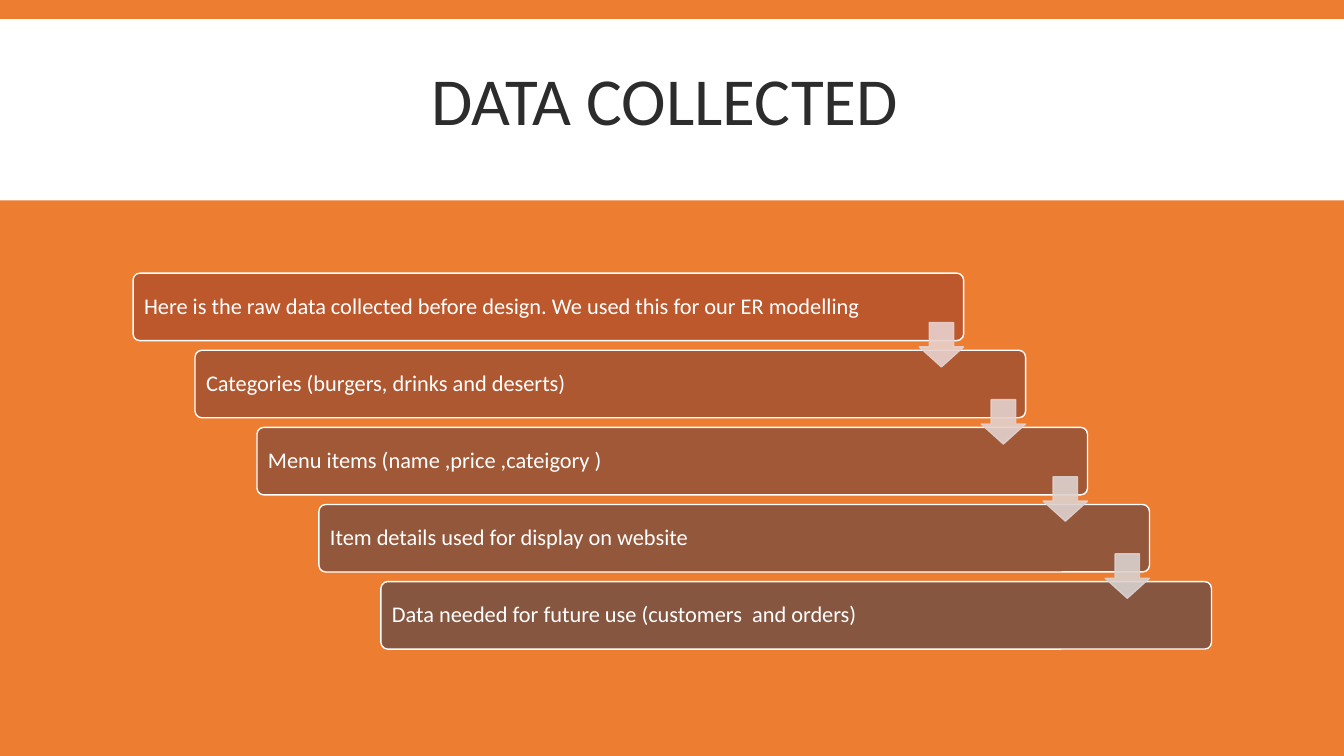
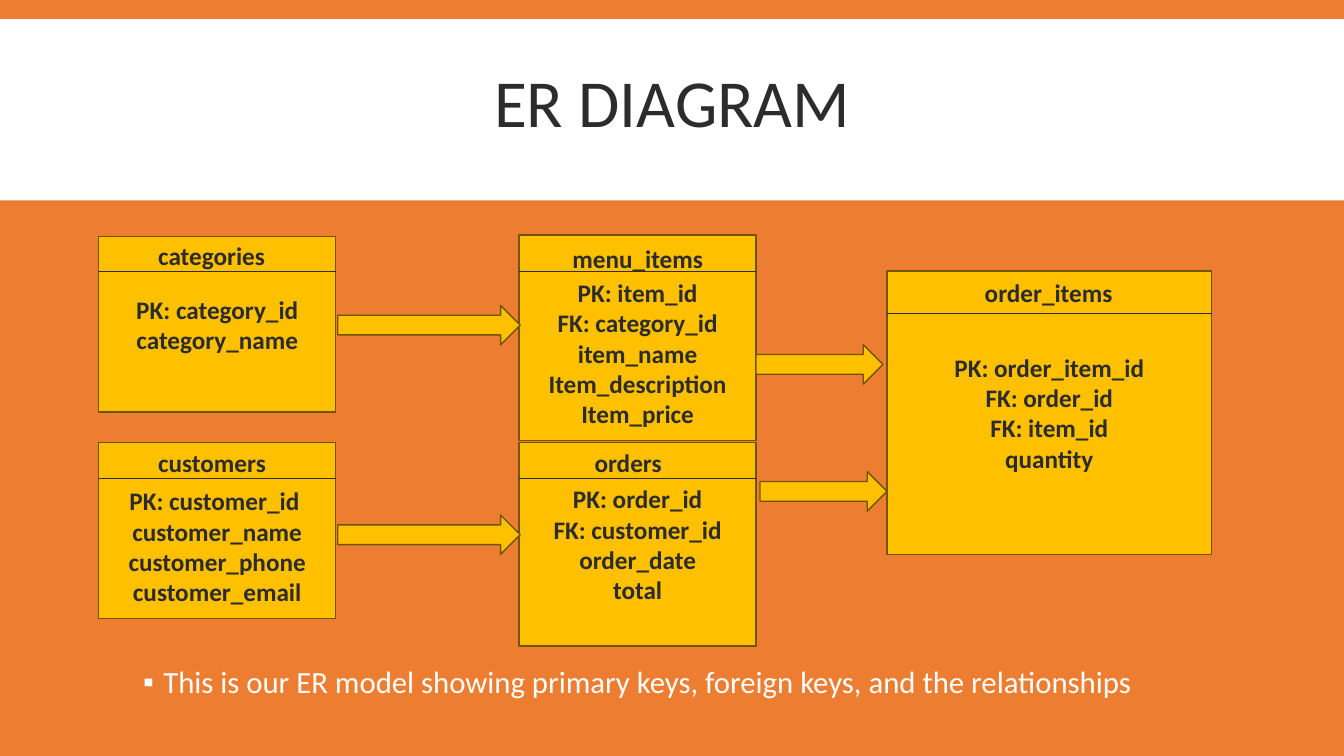
from dataclasses import dataclass

from lxml.etree import SubElement
from pptx import Presentation
from pptx.dml.color import RGBColor
from pptx.enum.shapes import MSO_CONNECTOR, MSO_SHAPE
from pptx.enum.text import MSO_ANCHOR, MSO_AUTO_SIZE, PP_ALIGN
from pptx.oxml.ns import qn
from pptx.util import Emu, Inches, Pt

# Shared look
WIDTH, HEIGHT = Inches(13.333), Inches(7.5)
ORANGE, WHITE, INK = "ED7D31", "FFFFFF", "2C2C2C"
GOLD, BROWN = "FFC000", "705400"
TITLE_FONT = {"name": "Calibri", "size": Pt(48), "bold": False}
BODY_FONT = {"name": "Calibri", "size": Pt(22), "bold": False}
STEP_FONT = {"name": "Calibri", "size": Pt(16), "bold": False}
ENTITY_FONT = {"name": "Calibri", "size": Pt(18), "bold": True}
LINE_PITCH = Pt(22)


@dataclass(frozen=True)
class Area:
    """A rectangle in percent of the slide's width and height."""
    left: float
    top: float
    width: float
    height: float

    def lengths(self) -> tuple:
        return (across(self.left), down(self.top),
                across(self.width), down(self.height))


@dataclass(frozen=True)
class Step:
    text: str
    fill: str
    arrow: str = ""


@dataclass(frozen=True)
class Entity:
    name: str
    name_left: float
    name_top: float
    area: Area
    rule_top: float
    fields: tuple
    skipped_lines: int = 0


STEPS = (
    Step("Here is the raw data collected before design. We used this for our ER modelling",
         "BD582C", "E8D1CD"),
    Step("Categories (burgers, drinks and deserts)", "AE5832", "E3D1CD"),
    Step("Menu items (name ,price ,cateigory )", "A05837", "DED1CE"),
    Step("Item details used for display on website", "93573C", "D9D1CF"),
    Step("Data needed for future use (customers  and orders)", "865640"),
)
STEP_ACROSS, STEP_DOWN = 4.61, 10.2

ENTITIES = (
    Entity("categories", 11.03, 31.07, Area(7.35, 31.33, 17.63, 23.2), 35.87,
           ("PK: category_id", "category_name")),
    Entity("menu_items", 41.85, 31.47, Area(38.63, 31.07, 17.63, 27.2), 35.87,
           ("PK: item_id", "FK: category_id", "item_name",
            "Item_description", "Item_price"), 1),
    Entity("customers", 11.03, 58.53, Area(7.35, 58.53, 17.63, 23.33), 63.33,
           ("PK: customer_id ", "customer_name", "customer_phone",
            "customer_email"), 1),
    Entity("orders", 43.5, 58.53, Area(38.63, 58.53, 17.63, 26.93), 63.33,
           ("PK: order_id", "FK: customer_id", "order_date", "total")),
    Entity("order_items", 72.53, 36, Area(66, 35.87, 24.15, 37.47), 41.47,
           ("PK: order_item_id", "FK: order_id", "FK: item_id", "quantity")),
)
RELATIONS = (
    Area(56.55, 62.4, 9.45, 5.2),
    Area(56.25, 45.6, 9.45, 5.2),
    Area(25.13, 68.13, 13.58, 5.2),
    Area(25.13, 40.4, 13.58, 5.2),
)


# Helpers
def across(percent: float) -> Emu:
    return Emu(round(WIDTH * percent / 100))


def down(percent: float) -> Emu:
    return Emu(round(HEIGHT * percent / 100))


def colour(value: str) -> RGBColor:
    return RGBColor.from_string(value)


def apply(target, values: dict) -> None:
    for key, value in values.items():
        setattr(target, key, value)


def write(box, lines, font: dict, ink: str, para_format: dict, frame_format: dict) -> None:
    frame = box.text_frame
    apply(frame, {"word_wrap": True, "auto_size": MSO_AUTO_SIZE.NONE, **frame_format})
    for index, line in enumerate(lines):
        para = frame.add_paragraph() if index else frame.paragraphs[0]
        apply(para, {"space_before": Pt(0), **para_format})
        span = para.add_run()
        span.text = line
        apply(span.font, font)
        span.font.color.rgb = colour(ink)


def draw(page, kind, area: Area, fill: str, line: str = "", adjust: tuple = ()):
    shape = page.shapes.add_shape(kind, *area.lengths())
    shape.shadow.inherit = False
    shape.fill.solid()
    shape.fill.fore_color.rgb = colour(fill)
    if line:
        shape.line.color.rgb = colour(line)
        shape.line.width = Pt(1)
    else:
        shape.line.fill.background()
    for index, value in enumerate(adjust):
        shape.adjustments[index] = value
    return shape


def make_translucent(shape, percent: int) -> None:
    for tint in shape._element.spPr.iter(qn("a:srgbClr")):
        SubElement(tint, qn("a:alpha"), val=str(percent * 1000))


def draw_rule(page, left: float, top: float, width: float) -> None:
    rule = page.shapes.add_connector(MSO_CONNECTOR.STRAIGHT, across(left), down(top),
                                     across(left + width), down(top))
    rule.line.color.rgb = colour(INK)
    rule.line.width = Pt(0.75)
    SubElement(rule._element.spPr, qn("a:effectLst"))


def fill_placeholder(box, area: Area, text: str, font: dict, ink: str,
                     para_format: dict, anchor) -> None:
    apply(box, dict(zip(("left", "top", "width", "height"), area.lengths())))
    write(box, [text], font, ink, para_format, {"vertical_anchor": anchor})


def add_page(deck, layout: int, title: str, title_top: float):
    page = deck.slides.add_slide(deck.slide_layouts[layout])
    fill_placeholder(page.shapes.title, Area(9.9, title_top, 80.25, 22), title, TITLE_FONT,
                     INK, {"alignment": PP_ALIGN.CENTER, "line_spacing": 0.85},
                     MSO_ANCHOR.MIDDLE)
    return page


def style_master(deck, page) -> None:
    """Give every slide the orange ground and the white title band."""
    ground = deck.slide_master.background.fill
    ground.solid()
    ground.fore_color.rgb = colour(ORANGE)
    band = draw(page, MSO_SHAPE.RECTANGLE, Area(0, 2.53, 100, 24), WHITE)
    deck.slide_master.shapes._spTree.insert(2, band._element)


# Staircase of collected data
def draw_steps(page) -> None:
    for index, step in enumerate(STEPS):
        area = Area(9.9 + index * STEP_ACROSS, 36.13 + index * STEP_DOWN, 61.8, 8.93)
        box = draw(page, MSO_SHAPE.ROUNDED_RECTANGLE, area, step.fill, WHITE, (0.1,))
        write(box, [step.text], STEP_FONT, WHITE,
              {"alignment": PP_ALIGN.LEFT, "line_spacing": 0.9},
              {"vertical_anchor": MSO_ANCHOR.MIDDLE, "margin_left": Inches(0.09)})
    for index, step in enumerate(STEPS[:-1]):
        area = Area(68.4 + index * STEP_ACROSS, 42.67 + index * STEP_DOWN, 3.3, 5.87)
        arrow = draw(page, MSO_SHAPE.DOWN_ARROW, area, step.arrow, step.arrow, (0.55, 0.45))
        make_translucent(arrow, 90)


# Entity boxes
def draw_entity(page, entity: Entity) -> None:
    area = entity.area
    box = draw(page, MSO_SHAPE.RECTANGLE, area, GOLD, BROWN)
    write(box, entity.fields, ENTITY_FONT, INK, {"alignment": PP_ALIGN.CENTER},
          {"vertical_anchor": MSO_ANCHOR.MIDDLE,
           "margin_top": Inches(0.05) + entity.skipped_lines * LINE_PITCH})
    draw_rule(page, area.left, entity.rule_top, area.width)
    name_area = Area(entity.name_left, entity.name_top, 14, 5.33)
    label = page.shapes.add_textbox(*name_area.lengths())
    write(label, [entity.name], ENTITY_FONT, INK, {}, {})


def add_caption(page, text: str) -> None:
    box = page.placeholders[1]
    properties = box.text_frame.paragraphs[0]._p.get_or_add_pPr()
    indent = Inches(0.2)
    properties.set("marL", str(indent))
    properties.set("indent", str(-indent))
    SubElement(SubElement(properties, qn("a:buClr")), qn("a:srgbClr"), val=WHITE)
    SubElement(properties, qn("a:buChar"), char="▪")
    fill_placeholder(box, Area(9.9, 87.6, 80.25, 7.07), text, BODY_FONT, WHITE,
                     {"line_spacing": 0.9, "space_after": Pt(2)}, MSO_ANCHOR.TOP)


def main() -> None:
    deck = Presentation()
    apply(deck, {"slide_width": WIDTH, "slide_height": HEIGHT})

    page = add_page(deck, 5, "DATA COLLECTED ", 2.93)
    style_master(deck, page)
    draw_steps(page)

    page = add_page(deck, 1, "ER DIAGRAM", 3.2)
    add_caption(page, "This is our ER model showing primary keys, foreign keys, "
                      "and the relationships")
    for entity in ENTITIES:
        draw_entity(page, entity)
    for area in RELATIONS:
        draw(page, MSO_SHAPE.RIGHT_ARROW, area, GOLD, BROWN)

    deck.save("out.pptx")


if __name__ == "__main__":
    main()
